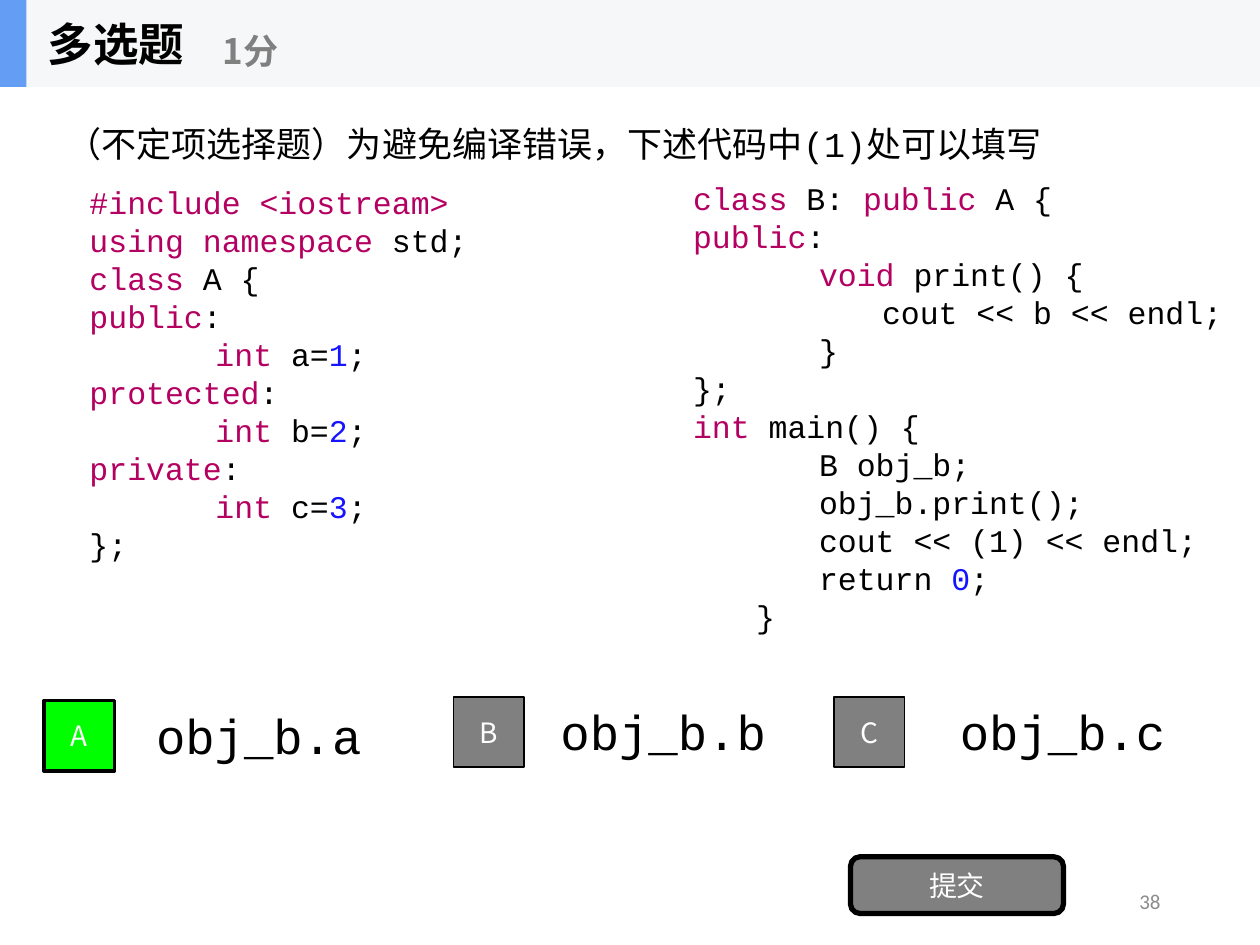
from pptx import Presentation
from pptx import util as u
from pptx.dml.color import RGBColor
from pptx.enum import shapes, text
from pptx.oxml.ns import qn

Inches = u.Inches
MONO, SANS = "Courier New", "Noto Sans CJK SC"
BLACK, WHITE, GRAY = "000000", "FFFFFF", "808080"
KEYWORD, NUMBER = "B40061", "1614FF"
CODE_MARGIN, CODE_STEP = 0.44, 0.5

# Each line is (depth, code); keywords and numbers to colour stand between backticks.
CLASS_A = [
    (0, "`#include <iostream>`"),
    (0, "`using namespace `std;"),
    (0, "`class `A {"),
    (0, "`public`:"),
    (2, "`int `a=`1`;"),
    (0, "`protected`:"),
    (2, "`int `b=`2`;"),
    (0, "`private`:"),
    (2, "`int `c=`3`;"),
    (0, "};"),
]
CLASS_B_AND_MAIN = [
    (0, "`class `B: `public `A {"),
    (0, "`public`:"),
    (2, "`void `print() {"),
    (3, "cout << b << endl;"),
    (2, "}"),
    (0, "};"),
    (0, "`int `main() {"),
    (2, "B obj_b;"),
    (2, "obj_b.print();"),
    (2, "cout << (1) << endl;"),
    (2, "return `0`;"),
    (1, "}"),
]
# letter, answer, box left and top, answer left and width, box fill, border width
OPTIONS = [
    ("A", "obj_b.a", 0.35, 5.56, 1.14, 2.2, "00FF00", 2),
    ("B", "obj_b.b", 3.6, 5.53, 4.35, 2.06, GRAY, 1),
    ("C", "obj_b.c", 6.62, 5.53, 7.52, 2.2, GRAY, 1),
]


def color(value):
    return RGBColor.from_string(value)


def add_run(paragraph, content, size=18, font=MONO, fill=BLACK, bold=False):
    run = paragraph.add_run()
    run.text = content
    run.font.size = u.Pt(size)
    run.font.name = font
    run.font.bold = bold
    run.font.color.rgb = color(fill)
    east_asian = run._r.get_or_add_rPr().makeelement(qn("a:ea"), {"typeface": SANS})
    run.font._element.find(qn("a:latin")).addnext(east_asian)


class QuizSlide:
    def __init__(self, presentation):
        layout = presentation.slide_layouts.get_by_name("Two Content")
        self.slide = presentation.slides.add_slide(layout)

    def place(self, shape, box, anchor=text.MSO_ANCHOR.MIDDLE):
        """Move a text shape to box and give it plain wrapping text."""
        shape.left, shape.top, shape.width, shape.height = map(Inches, box)
        frame = shape.text_frame
        frame.word_wrap = True
        frame.auto_size = text.MSO_AUTO_SIZE.NONE
        frame.vertical_anchor = anchor
        return frame

    def title(self, content, box):
        paragraph = self.place(self.slide.shapes.title, box).paragraphs[0]
        paragraph.alignment = text.PP_ALIGN.LEFT
        add_run(paragraph, content, size=26, font=SANS, bold=True)

    def label(self, content, box, align=text.PP_ALIGN.LEFT, **style):
        shape = self.slide.shapes.add_textbox(*map(Inches, box))
        paragraph = self.place(shape, box).paragraphs[0]
        paragraph.alignment = align
        add_run(paragraph, content, **style)

    def code(self, placeholder_index, lines, box):
        placeholder = self.slide.placeholders[placeholder_index]
        frame = self.place(placeholder, box, text.MSO_ANCHOR.TOP)
        for index, (depth, line) in enumerate(lines):
            paragraph = frame.add_paragraph() if index else frame.paragraphs[0]
            properties = paragraph._p.get_or_add_pPr()
            properties.set("marL", str(Inches(CODE_MARGIN + CODE_STEP * depth)))
            properties.set("indent", "0")
            properties.append(properties.makeelement(qn("a:buNone"), {}))
            paragraph.space_before = paragraph.space_after = u.Pt(0)
            paragraph.line_spacing = u.Pt(21.7)
            for position, part in enumerate(line.split("`")):
                if part:
                    marked = NUMBER if part.isdigit() else KEYWORD
                    add_run(paragraph, part, fill=marked if position % 2 else BLACK)

    def block(self, kind, box, fill, border=0):
        shape = self.slide.shapes.add_shape(kind, *map(Inches, box))
        shape.shadow.inherit = False
        shape.fill.solid()
        shape.fill.fore_color.rgb = color(fill)
        if border:
            shape.line.color.rgb = color(BLACK)
            shape.line.width = u.Pt(border)
        else:
            shape.line.fill.background()
        return shape

    def bar(self, box, fill, depth):
        """Add a borderless bar behind the text, at the given place from the back."""
        shape = self.block(shapes.MSO_SHAPE.RECTANGLE, box, fill)
        self.slide.shapes._spTree.insert(2 + depth, shape._element)

    def button(self, content, kind, box, fill, border):
        shape = self.block(kind, box, fill, border)
        paragraph = self.place(shape, box).paragraphs[0]
        paragraph.alignment = text.PP_ALIGN.CENTER
        add_run(paragraph, content, size=16, font=SANS, fill=WHITE)


def main():
    presentation = Presentation()
    presentation.slide_width, presentation.slide_height = Inches(10), Inches(7.5)
    quiz = QuizSlide(presentation)

    quiz.bar((0, 0, 10, 0.69), "F6F7F8", depth=0)
    quiz.bar((0, 0, 0.21, 0.69), "639EF4", depth=1)
    quiz.title("多选题", (0.28, 0, 2.08, 0.69))
    quiz.label("1分", (1.67, 0.12, 2.5, 0.56), size=20, font=SANS, fill=GRAY, bold=True)

    quiz.label("（不定项选择题）为避免编译错误，下述代码中(1)处可以填写",
               (0.43, 0.79, 8.72, 0.69), size=20)
    quiz.code(1, CLASS_A, (0.17, 1.4, 5.32, 3.43))
    quiz.code(2, CLASS_B_AND_MAIN, (4.96, 1.37, 5, 3.74))

    for letter, answer, left, top, answer_left, width, fill, border in OPTIONS:
        quiz.button(letter, shapes.MSO_SHAPE.RECTANGLE,
                    (left, top, 0.56, 0.56), fill, border)
        quiz.label(answer, (answer_left, top - 0.08, width, 0.7), size=28)

    quiz.button("提交", shapes.MSO_SHAPE.ROUNDED_RECTANGLE,
                (6.75, 6.8, 1.69, 0.45), GRAY, 3)
    quiz.label("38", (7.06, 6.95, 2.25, 0.4), align=text.PP_ALIGN.RIGHT,
               size=12, font="Calibri", fill="8C8C8C")
    presentation.save("out.pptx")


if __name__ == "__main__":
    main()
